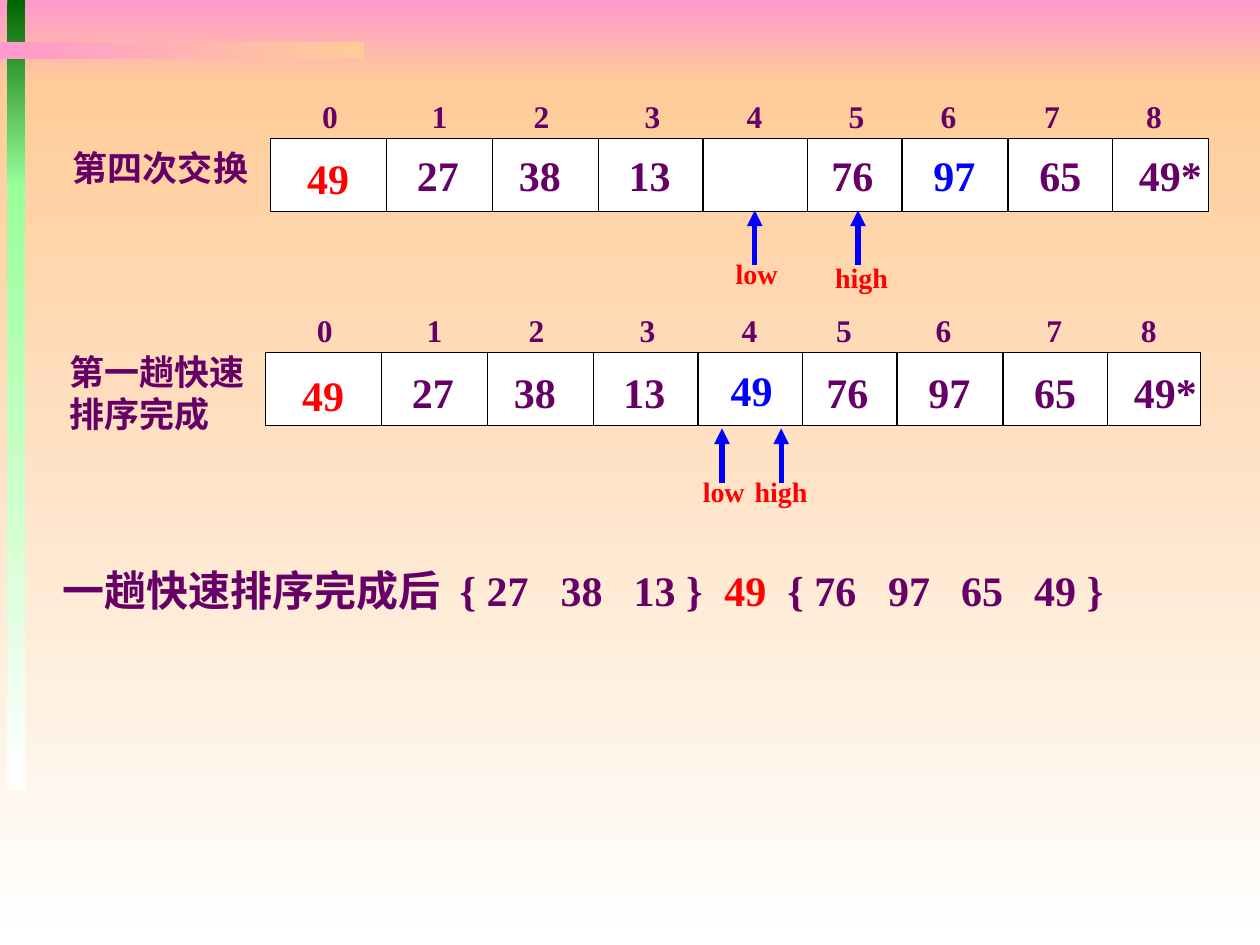
from lxml import etree
from pptx import Presentation
from pptx.dml.color import RGBColor
from pptx.enum.shapes import MSO_CONNECTOR, MSO_SHAPE
from pptx.enum.text import MSO_AUTO_SIZE
from pptx.oxml.ns import qn
from pptx.util import Inches, Pt

RECTANGLE = MSO_SHAPE.RECTANGLE
STRAIGHT = MSO_CONNECTOR.STRAIGHT
FIT_SHAPE = MSO_AUTO_SIZE.SHAPE_TO_FIT_TEXT

LATIN_FONT = "Times New Roman"
CHINESE_FONT = "Noto Sans CJK SC"
PURPLE, RED, BLUE = "660066", "FF0000", "0000FF"
BLACK, WHITE = "000000", "FFFFFF"
PINK, PEACH = "FF99CC", "FFCC99"
DARK_GREEN, LIGHT_GREEN = "006600", "99FF99"

CELL_HEIGHT = 0.58
DIVIDERS = [0.92, 1.76, 2.6, 3.43, 4.26, 5.01, 5.85, 6.68]
NUMBER_OFFSETS = [0.19, 1.06, 1.87, 2.74, 3.59, 4.35, 5.16, 6, 6.79]
NUMBER_WIDTHS = [0.53, 0.56, 0.61, 0.57, 0.57, 0.57, 0.56, 0.57, 0.71]
NUMBER_SHIFTS = [0.02, 0, 0, 0, -0.02, 0, 0, 0, 0]


def color(code):
    """Turn a hex string into a colour."""
    return RGBColor.from_string(code)


def add_block(page, left, top, width, height):
    """Add a plain rectangle without outline or shadow."""
    block = page.shapes.add_shape(
        RECTANGLE, Inches(left), Inches(top), Inches(width), Inches(height)
    )
    block.shadow.inherit = False
    block.line.fill.background()
    return block


def add_gradient(page, left, top, width, height, start, end, angle=270):
    """Add a rectangle that fades from one colour to another."""
    fill = add_block(page, left, top, width, height).fill
    fill.gradient()
    fill.gradient_angle = angle
    for stop, code in zip(fill.gradient_stops, (start, end)):
        stop.color.rgb = color(code)


def add_line(page, x, start, end, code=BLACK, width=0.75, arrow=False):
    """Add a vertical line, with an arrowhead at its end if wanted."""
    line = page.shapes.add_connector(
        STRAIGHT, Inches(x), Inches(start), Inches(x), Inches(end)
    )
    line.line.color.rgb = color(code)
    line.line.width = Pt(width)
    properties = line._element.spPr
    if arrow:
        head = etree.SubElement(line.line._get_or_add_ln(), qn("a:tailEnd"))
        head.set("type", "triangle")
    etree.SubElement(properties, qn("a:effectLst"))


def add_tabs(para, stops, align):
    """Give a paragraph tab stops at the given distances."""
    tabs = etree.SubElement(para._p.get_or_add_pPr(), qn("a:tabLst"))
    for stop in stops:
        etree.SubElement(tabs, qn("a:tab"), pos=str(Inches(stop)), algn=align)


def add_span(para, text, size, code, font=LATIN_FONT):
    """Add a bold run of text to a paragraph."""
    span = para.add_run()
    span.text = text
    span.font.size = Pt(size)
    span.font.bold = True
    span.font.name = font
    span.font.color.rgb = color(code)
    etree.SubElement(span.font._element, qn("a:ea"), typeface=CHINESE_FONT)


def add_box(page, left, top, width, height, wrap=True):
    """Add an empty text box and return its text frame."""
    box = page.shapes.add_textbox(
        Inches(left), Inches(top), Inches(width), Inches(height)
    )
    frame = box.text_frame
    frame.word_wrap = wrap
    frame.auto_size = FIT_SHAPE
    return frame


def add_text(page, text, left, top, width, height, size=24, code=PURPLE,
             wrap=True, stops=()):
    """Add a text box with one paragraph for each line of text."""
    frame = add_box(page, left, top, width, height, wrap)
    for index, line in enumerate(text.split("\n")):
        para = frame.add_paragraph() if index else frame.paragraphs[0]
        if stops:
            add_tabs(para, stops, "ctr")
        add_span(para, line, size, code)


def add_array(page, left, top, width, number_top, numbers, colors, stops):
    """Draw an array of nine cells with its indices above."""
    cells = add_block(page, left, top, width, CELL_HEIGHT)
    cells.fill.solid()
    cells.fill.fore_color.rgb = color(WHITE)
    cells.line.color.rgb = color(BLACK)
    cells.line.width = Pt(0.75)
    for offset in DIVIDERS:
        add_line(page, left + offset, top, top + CELL_HEIGHT)
    indices = "".join(f"\t{index}" for index in range(len(numbers)))
    add_text(page, indices, left + 0.25, top - 0.38, 6.95, 0.4,
             size=18, stops=stops)
    places = zip(numbers, NUMBER_OFFSETS, NUMBER_WIDTHS, NUMBER_SHIFTS)
    for index, (number, offset, number_width, shift) in enumerate(places):
        if number:
            add_text(page, number, left + offset, number_top + shift,
                     number_width, 0.5, code=colors.get(index, PURPLE),
                     wrap=index > 0)


def add_pointer(page, name, x, tip, left, top, width):
    """Draw an upward arrow with its red name below."""
    add_text(page, name, left, top, width, 0.37, size=16, code=RED, wrap=False)
    add_line(page, x, tip + 0.43, tip, BLUE, 3, arrow=True)


def add_background(page):
    """Draw the gradient backdrop and its bars."""
    add_gradient(page, 0, 0, 10, 0.67, PINK, PEACH)
    add_gradient(page, 0, 0.67, 10, 6.83, PEACH, WHITE)
    add_gradient(page, 0.06, 0, 0.14, 1.48, DARK_GREEN, LIGHT_GREEN)
    add_gradient(page, 0.06, 1.46, 0.14, 4.81, LIGHT_GREEN, WHITE)
    add_gradient(page, 0, 0.33, 2.89, 0.14, PINK, PEACH, angle=0)


def add_result(page):
    """Write the line that shows the array after one pass."""
    para = add_box(page, 0.4, 4.43, 8.55, 0.5).paragraphs[0]
    add_tabs(para, [3.15, 3.95, 4.53, 5.25, 5.75, 6.55, 7.13, 7.71], "l")
    add_span(para, "一趟快速排序完成后", 24, PURPLE, CHINESE_FONT)
    add_span(para, "\t{ 27\t38\t13 }", 24, PURPLE)
    add_span(para, "\t49", 24, RED)
    add_span(para, "\t{ 76\t97\t65\t49 }", 24, PURPLE)


def main():
    """Build the quicksort slide and save it."""
    deck = Presentation()
    deck.slide_width, deck.slide_height = Inches(10), Inches(7.5)
    page = deck.slides.add_slide(deck.slide_layouts[6])
    add_background(page)

    add_text(page, "第四次交换", 0.48, 1.11, 1.6, 0.44, size=20)
    add_array(page, 2.15, 1.1, 7.44, 1.14,
              ["49", "27", "38", "13", "", "76", "97", "65", "49*"],
              {0: RED, 6: BLUE},
              [0.12, 0.99, 1.8, 2.68, 3.49, 4.3, 5.03, 5.85, 6.66])
    add_pointer(page, "low", 5.99, 1.67, 5.74, 1.99, 0.53)
    add_pointer(page, "high", 6.81, 1.67, 6.53, 2.02, 0.62)

    add_text(page, "第一趟快速\n排序完成", 0.45, 2.73, 1.59, 0.77,
             size=20, wrap=False)
    add_array(page, 2.11, 2.8, 7.42, 2.86,
              ["49", "27", "38", "13", "49", "76", "97", "65", "49*"],
              {0: RED, 4: BLUE},
              [0.12, 0.99, 1.8, 2.68, 3.49, 4.24, 5.03, 5.91, 6.66])
    add_pointer(page, "low", 5.73, 3.4, 5.48, 3.72, 0.53)
    add_pointer(page, "high", 6.2, 3.4, 5.89, 3.72, 0.62)

    add_result(page)
    deck.save("out.pptx")


if __name__ == "__main__":
    main()
